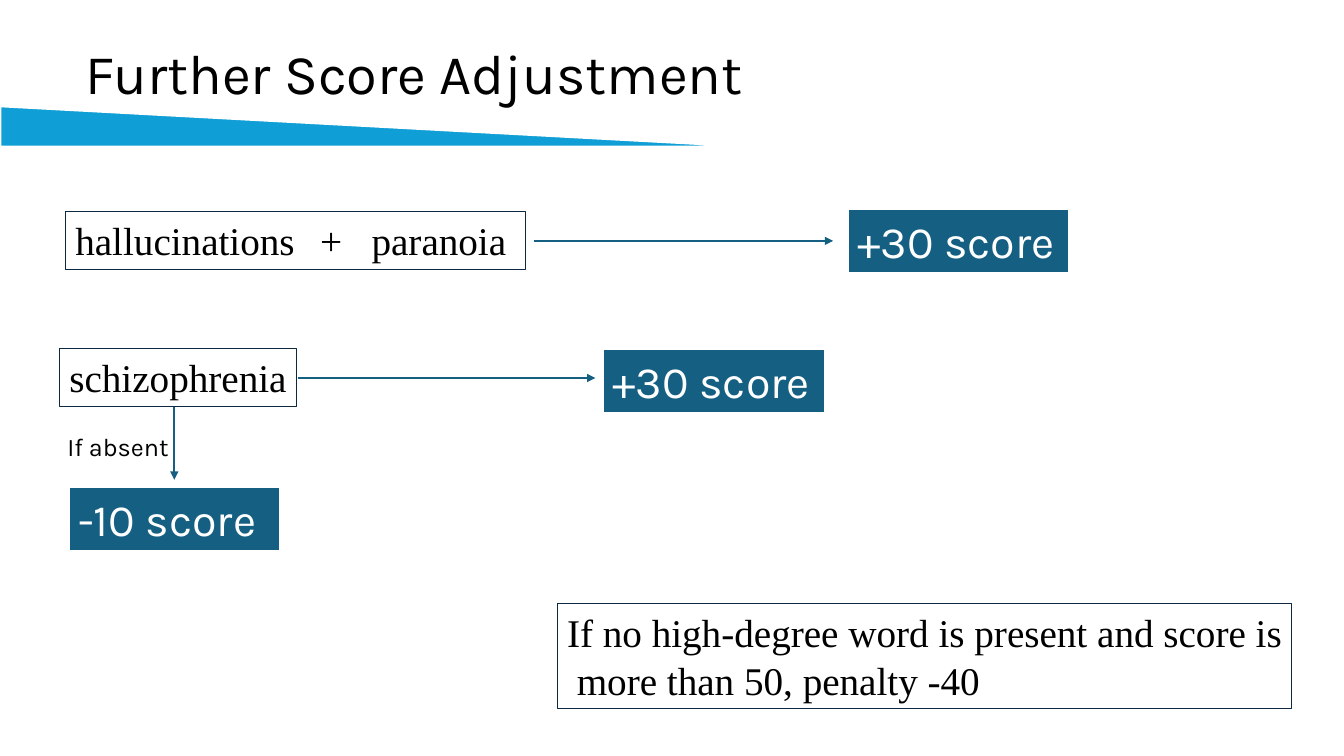
from lxml import etree
from pptx import Presentation
from pptx import util as u
from pptx.dml.color import RGBColor
from pptx.enum import shapes, text
from pptx.oxml.ns import qn

PX = 9144
SERIF, SANS = "Times New Roman", "Karla"
BLACK, WHITE, NAVY, TEAL, BLUE = "000000", "FFFFFF", "0E2841", "156082", "0F9ED5"


def px(*nums):
    return [u.Emu(n * PX) for n in nums]


def tint(item, code):
    item.rgb = RGBColor.from_string(code)


def paint(shape, fill, line, width):
    shape.shadow.inherit = False
    if fill:
        shape.fill.solid()
        tint(shape.fill.fore_color, fill)
    else:
        shape.fill.background()
    tint(shape.line.color, line)
    shape.line.width = u.Pt(width)


def write(shape, lines, font, size, color):
    frame = shape.text_frame
    frame.word_wrap = False
    frame.margin_right = 0
    frame.vertical_anchor = text.MSO_ANCHOR.TOP
    frame.auto_size = text.MSO_AUTO_SIZE.NONE
    for num, line in enumerate(lines):
        para = frame.add_paragraph() if num else frame.paragraphs[0]
        para.alignment = text.PP_ALIGN.LEFT
        run = para.add_run()
        run.text = line
        run.font.name = font
        run.font.size = u.Pt(size)
        tint(run.font.color, color)
    frame.word_wrap = True
    return frame


def label(slide, area, line, size):
    return write(slide.shapes.add_textbox(*px(*area)), [line], SANS, size, BLACK)


def box(slide, area, fill, line, width):
    shape = slide.shapes.add_shape(shapes.MSO_SHAPE.RECTANGLE, *px(*area))
    paint(shape, fill, line, width)
    return shape


def rule(slide, area, lines, stops=()):
    frame = write(box(slide, area, None, NAVY, 0.75), lines, SERIF, 28, BLACK)
    if stops:
        tabs = etree.SubElement(frame.paragraphs[0]._p.get_or_add_pPr(), qn("a:tabLst"))
        for stop in px(*stops):
            etree.SubElement(tabs, qn("a:tab"), pos=str(stop), algn="l")


def score(slide, area, line):
    write(box(slide, area, TEAL, WHITE, 2), [line], SANS, 32, WHITE)


def arrow(slide, *ends):
    link = slide.shapes.add_connector(shapes.MSO_CONNECTOR.STRAIGHT, *px(*ends))
    tint(link.line.color, TEAL)
    link.line.width = u.Pt(1.5)
    props = link._element.spPr
    etree.SubElement(props.get_or_add_ln(), qn("a:tailEnd"), type="triangle")
    etree.SubElement(props, qn("a:effectLst"))


def header(slide):
    frame = label(slide, (75, 23, 1127, 106), "Further Score Adjustment", 40)
    frame.vertical_anchor = text.MSO_ANCHOR.MIDDLE
    frame.paragraphs[0].line_spacing = 0.9
    wedge = slide.shapes.add_shape(shapes.MSO_SHAPE.RIGHT_TRIANGLE, *px(0, 105, 759, 41))
    paint(wedge, BLUE, WHITE, 2)


def main():
    deck = Presentation()
    deck.slide_width, deck.slide_height = px(1334, 750)
    slide = deck.slides.add_slide(deck.slide_layouts[6])
    header(slide)
    rule(slide, (65, 210, 457, 57), ["hallucinations\t+\tparanoia"], (243, 294))
    arrow(slide, 530, 239, 827, 239)
    score(slide, (841, 207, 221, 64), "+30 score")
    rule(slide, (59, 346, 235, 57), ["schizophrenia"])
    arrow(slide, 296, 375, 591, 375)
    score(slide, (598, 346, 221, 64), "+30 score")
    arrow(slide, 173, 404, 173, 476)
    score(slide, (68, 483, 210, 64), "-10 score")
    label(slide, (57, 423, 123, 40), "If absent", 18)
    rule(slide, (553, 599, 729, 104),
         ["If no high-degree word is present and score is", " more than 50, penalty -40"])
    deck.save("out.pptx")


if __name__ == "__main__":
    main()
